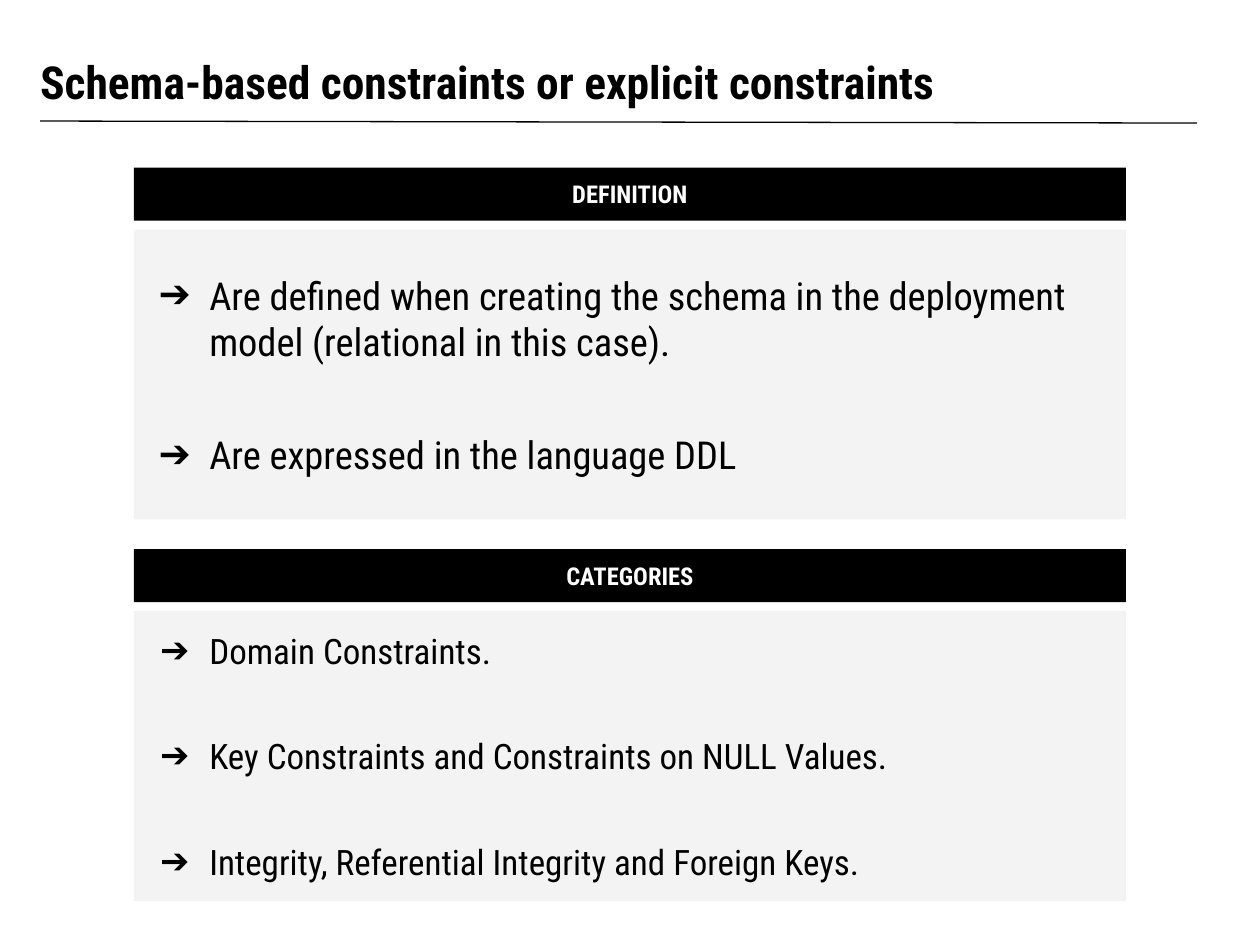
from lxml.etree import SubElement
from pptx import Presentation
from pptx.dml.color import RGBColor
from pptx.enum.shapes import MSO_CONNECTOR, MSO_SHAPE
from pptx.enum.text import MSO_ANCHOR, PP_ALIGN
from pptx.oxml.ns import qn
from pptx.util import Cm, Pt

COLORS = {"ink": "000000", "paper": "FFFFFF", "panel": "F3F3F3"}
FONT = "Roboto Condensed"
INSET = Cm(0.25)
HEADING_HEIGHT = Cm(1.07)
HEADING_GAP = Cm(0.18)


def color(name):
    return RGBColor.from_string(COLORS[name])


def add_run(paragraph, text, size, ink="ink", bold=False):
    run = paragraph.add_run()
    run.text = text
    run.font.name = FONT
    run.font.size = Pt(size)
    run.font.bold = bold
    run.font.color.rgb = color(ink)


def prepare_frame(shape, anchor):
    frame = shape.text_frame
    frame.word_wrap = True
    frame.vertical_anchor = anchor
    frame.margin_left = frame.margin_right = INSET
    frame.margin_top = frame.margin_bottom = INSET
    return frame


def add_bar(slide, left, top, width, height, fill):
    """Add a borderless filled rectangle and return its text frame."""
    shape = slide.shapes.add_shape(MSO_SHAPE.RECTANGLE, left, top, width, height)
    shape.shadow.inherit = False
    shape.fill.solid()
    shape.fill.fore_color.rgb = color(fill)
    shape.line.fill.background()
    return prepare_frame(shape, MSO_ANCHOR.MIDDLE)


def add_arrow_bullet(paragraph, hanging):
    properties = paragraph._p.get_or_add_pPr()
    properties.set("marL", str(Cm(1.27)))
    properties.set("indent", str(-hanging))
    bullet_color = SubElement(properties, qn("a:buClr"))
    SubElement(bullet_color, qn("a:srgbClr")).set("val", COLORS["ink"])
    SubElement(properties, qn("a:buFont")).set("typeface", FONT)
    SubElement(properties, qn("a:buChar")).set("char", "➔")


def add_title(slide, left, top, width, height, text):
    """Add the title with the rule below it, which slopes down slightly."""
    box = slide.shapes.add_textbox(left, top, width, height)
    frame = prepare_frame(box, MSO_ANCHOR.BOTTOM)
    add_run(frame.paragraphs[0], text, 26, bold=True)

    bottom = top + height
    rule = slide.shapes.add_connector(
        MSO_CONNECTOR.STRAIGHT,
        left + INSET, bottom, left + width + Cm(0.71), bottom + Cm(0.04),
    )
    rule.line.color.rgb = color("ink")
    rule.line.width = Pt(0.75)
    SubElement(rule._element.spPr, qn("a:effectLst"))


def add_section(slide, left, top, width, height, heading, items, size, gap, hanging):
    """Add a dark heading bar above a light panel of bulleted items."""
    frame = add_bar(slide, left, top, width, HEADING_HEIGHT, "ink")
    frame.paragraphs[0].alignment = PP_ALIGN.CENTER
    add_run(frame.paragraphs[0], heading, 14, "paper", bold=True)

    offset = HEADING_HEIGHT + HEADING_GAP
    frame = add_bar(slide, left, top + offset, width, height - offset, "panel")
    for index, item in enumerate(items):
        paragraph = frame.add_paragraph() if index else frame.paragraphs[0]
        paragraph.alignment = PP_ALIGN.LEFT
        paragraph.space_before = Pt(gap if index else 6)
        add_arrow_bullet(paragraph, hanging)
        add_run(paragraph, item, size)


def main():
    presentation = Presentation()
    presentation.slide_width = Cm(25.4)
    presentation.slide_height = Cm(19.05)
    slide = presentation.slides.add_slide(presentation.slide_layouts[6])

    add_title(slide, Cm(0.56), Cm(0.56), Cm(22.86), Cm(1.88),
              "Schema-based constraints or explicit constraints")

    left, width, height = Cm(2.7), Cm(20), Cm(7.09)
    add_section(slide, left, Cm(3.38), width, height, "DEFINITION", [
        "Are defined when creating the schema in the deployment model "
        "(relational in this case).",
        "Are expressed in the language DDL",
    ], size=22, gap=38.5, hanging=Cm(1.02))
    add_section(slide, left, Cm(11.07), width, height, "CATEGORIES", [
        "Domain Constraints.",
        "Key Constraints and Constraints on NULL Values.",
        "Integrity, Referential Integrity and Foreign Keys.",
    ], size=20, gap=36.5, hanging=Cm(0.99))

    presentation.save("out.pptx")


if __name__ == "__main__":
    main()
